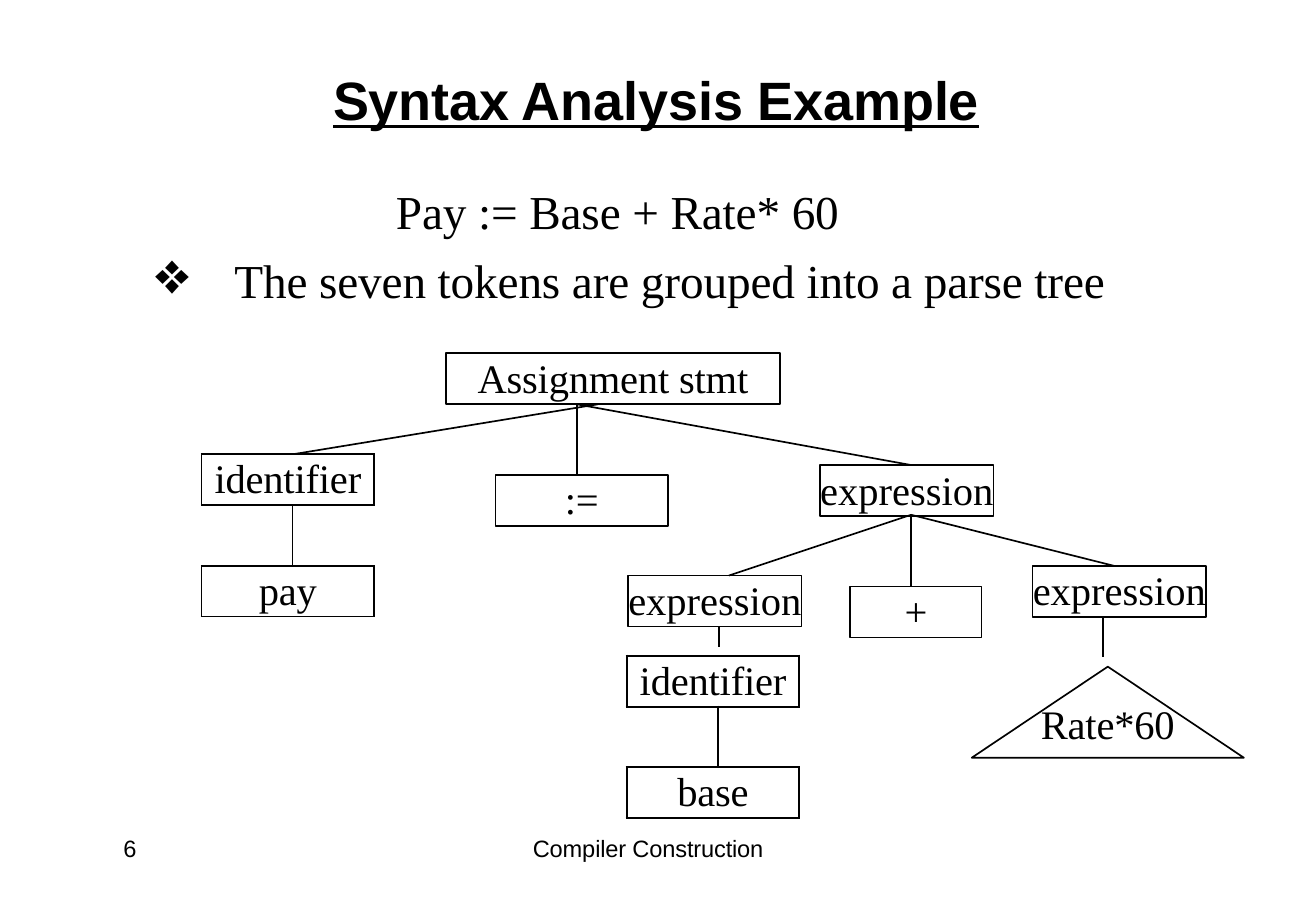
from dataclasses import dataclass

import pptx
import pptx.dml.color
import pptx.enum.shapes
import pptx.enum.text
import pptx.oxml
import pptx.oxml.ns
import pptx.util
from pptx.util import Inches

SERIF, SANS = "Times New Roman", "Arial"
INK, LINE = "000000", "010101"
SHAPES = pptx.enum.shapes.MSO_SHAPE
ALIGN = pptx.enum.text.PP_ALIGN
NODE_HEIGHT = 0.42


@dataclass
class TextStyle:
    font: str = SERIF
    size: float = 24
    line_points: float | None = 28.6
    align: ALIGN = ALIGN.CENTER
    tracking: int = -10
    bold: bool = False
    underline: bool = False


@dataclass
class Node:
    text: str
    left: float
    top: float
    width: float
    tracking: int = -10


@dataclass
class Branch:
    start: tuple[float, float]
    end: tuple[float, float]


@dataclass
class LeafTable:
    words: tuple[str, str]
    left: float
    top: float
    line_width: float


@dataclass
class Label:
    text: str
    left: float
    top: float
    width: float
    height: float
    style: TextStyle


NODES = [
    Node("Assignment stmt", 3.67, 2.91, 2.75),
    Node(":=", 4.08, 3.91, 1.42),
    Node("expression", 6.75, 3.83, 1.43, 0),
    Node("expression", 5.17, 4.74, 1.43, 0),
    Node("expression", 8.5, 4.66, 1.43, 0),
    Node("+", 7, 4.83, 1.08, 0),
]
BRANCHES = [
    Branch((4.92, 3.33), (2.42, 3.74)),
    Branch((4.75, 3.33), (4.75, 3.91)),
    Branch((4.75, 3.33), (7.5, 3.83)),
    Branch((7.5, 4.24), (6, 4.74)),
    Branch((7.5, 4.24), (7.5, 4.83)),
    Branch((7.5, 4.24), (9.17, 4.66)),
    Branch((5.92, 5.16), (5.92, 5.33)),
    Branch((9.08, 5.08), (9.08, 5.41)),
]
LEAF_TABLES = [
    LeafTable(("identifier", "pay"), 1.66, 3.74, 1),
    LeafTable(("identifier", "base"), 5.16, 5.4, 1.5),
]
FOOTER = TextStyle(SANS, 14, 16.4)
LABELS = [
    Label("Rate*60", 8.55, 5.76, 1.14, 0.42, TextStyle(line_points=None)),
    Label("6", 0.99, 6.87, 0.16, 0.25, FOOTER),
    Label("Compiler Construction", 4.36, 6.87, 1.95, 0.25, FOOTER),
]


def colour(value: str) -> pptx.dml.color.RGBColor:
    return pptx.dml.color.RGBColor.from_string(value)


def set_all(target, values: dict) -> None:
    for name, value in values.items():
        setattr(target, name, value)


def write(para, text: str, style: TextStyle) -> None:
    para.alignment = style.align
    if style.line_points:
        para.line_spacing = pptx.util.Pt(style.line_points)
    span = para.add_run()
    span.text = text
    set_all(span.font, {"name": style.font, "size": pptx.util.Pt(style.size),
                        "bold": style.bold, "underline": style.underline})
    span.font.color.rgb = colour(INK)
    span._r.get_or_add_rPr().set("spc", str(style.tracking))


def prepare_frame(frame) -> None:
    set_all(frame, {"margin_left": 0, "margin_top": 0, "margin_right": 0, "margin_bottom": 0,
                    "word_wrap": True, "auto_size": pptx.enum.text.MSO_AUTO_SIZE.NONE,
                    "vertical_anchor": pptx.enum.text.MSO_ANCHOR.TOP})


def place(shape, left: float, top: float, width: float, height: float) -> None:
    set_all(shape, {"left": Inches(left), "top": Inches(top),
                    "width": Inches(width), "height": Inches(height)})


def add_outline(page, kind: SHAPES, left: float, top: float, width: float, height: float):
    shape = page.shapes.add_shape(kind, Inches(left), Inches(top), Inches(width), Inches(height))
    shape.shadow.inherit = False
    shape.fill.background()
    shape.line.color.rgb = colour(LINE)
    shape.line.width = pptx.util.Pt(1)
    prepare_frame(shape.text_frame)
    return shape


def add_node(page, node: Node) -> None:
    shape = add_outline(page, SHAPES.RECTANGLE, node.left, node.top, node.width, NODE_HEIGHT)
    write(shape.text_frame.paragraphs[0], node.text, TextStyle(tracking=node.tracking))


def add_branch(page, branch: Branch) -> None:
    ends = [Inches(value) for value in branch.start + branch.end]
    connector = page.shapes.add_connector(pptx.enum.shapes.MSO_CONNECTOR.STRAIGHT, *ends)
    connector.line.color.rgb = colour(LINE)
    connector.line.width = pptx.util.Pt(1)
    connector._element.spPr.append(pptx.oxml.parse_xml(
        f"<a:effectLst {pptx.oxml.ns.nsdecls('a')}/>"))


def add_label(page, label: Label) -> None:
    box = page.shapes.add_textbox(0, 0, 0, 0)
    place(box, label.left, label.top, label.width, label.height)
    prepare_frame(box.text_frame)
    write(box.text_frame.paragraphs[0], label.text, label.style)


def set_borders(cell, sides: str, width: float) -> None:
    properties = cell._tc.get_or_add_tcPr()
    for side in "LRTB":
        paint = (f'<a:solidFill><a:srgbClr val="{LINE}"/></a:solidFill>'
                 if side in sides else "<a:noFill/>")
        properties.append(pptx.oxml.parse_xml(
            f'<a:ln{side} {pptx.oxml.ns.nsdecls("a")} w="{pptx.util.Pt(width)}">{paint}</a:ln{side}>'))
    cell.fill.background()


def add_leaf_table(page, leaf: LeafTable) -> None:
    columns, rows = (0.75, 0.67), (NODE_HEIGHT, 0.5, NODE_HEIGHT)
    table = page.shapes.add_table(3, 2, Inches(leaf.left), Inches(leaf.top),
                                  Inches(sum(columns)), Inches(sum(rows))).table
    set_all(table, {"first_row": False, "horz_banding": False})
    for column, width in zip(table.columns, columns):
        column.width = Inches(width)
    for row, height in zip(table.rows, rows):
        row.height = Inches(height)
    # The middle row shows only the line between its two cells
    for row_index, sides in enumerate((("LRTB", "LRTB"), ("RTB", "LTB"), ("LRTB", "LRTB"))):
        for column_index, cell_sides in enumerate(sides):
            cell = table.cell(row_index, column_index)
            set_all(cell, {"margin_left": 0, "margin_right": 0,
                           "margin_top": 0, "margin_bottom": 0})
            set_borders(cell, cell_sides, leaf.line_width)
    for row_index, word in zip((0, 2), leaf.words):
        table.cell(row_index, 0).merge(table.cell(row_index, 1))
        write(table.cell(row_index, 0).text_frame.paragraphs[0], word, TextStyle())


def add_statement(page) -> None:
    box = page.shapes.add_textbox(Inches(1.25), Inches(1.5), Inches(7.9), Inches(1.05))
    prepare_frame(box.text_frame)
    style = TextStyle(size=28, line_points=None, align=ALIGN.LEFT, tracking=-5)
    formula, bullet = box.text_frame.paragraphs[0], box.text_frame.add_paragraph()
    bullet.space_before = pptx.util.Pt(7.5)
    for para, margin, indent in ((formula, 2.01, 0), (bullet, 0.68, -0.65)):
        properties = para._p.get_or_add_pPr()
        properties.set("marL", str(Inches(margin)))
        properties.set("indent", str(Inches(indent)))
    for mark in ('buSzPct {} val="125000"', 'buChar {} char="❖"'):
        bullet._p.get_or_add_pPr().append(pptx.oxml.parse_xml(
            f"<a:{mark.format(pptx.oxml.ns.nsdecls('a'))}/>"))
    write(formula, "Pay := Base + Rate* 60", style)
    write(bullet, "The seven tokens are grouped into a parse tree", style)


def main() -> None:
    deck = pptx.Presentation()
    set_all(deck, {"slide_width": pptx.util.Pt(780), "slide_height": pptx.util.Pt(539)})
    deck.element.sldSz.attrib.pop("type", None)
    page = deck.slides.add_slide(deck.slide_layouts[5])

    # Title and statement
    title = page.shapes.title
    place(title, 2.71, 0.55, 5.38, 0.55)
    prepare_frame(title.text_frame)
    write(title.text_frame.paragraphs[0], "Syntax Analysis Example",
          TextStyle(SANS, 32, None, bold=True, underline=True))
    add_statement(page)

    # Parse tree
    for node in NODES:
        add_node(page, node)
    for branch in BRANCHES:
        add_branch(page, branch)
    for leaf in LEAF_TABLES:
        add_leaf_table(page, leaf)
    add_outline(page, SHAPES.ISOSCELES_TRIANGLE, 8, 5.49, 2.24, 0.75)

    # Subtree label and footer
    for label in LABELS:
        add_label(page, label)
    deck.save("out.pptx")


if __name__ == "__main__":
    main()
